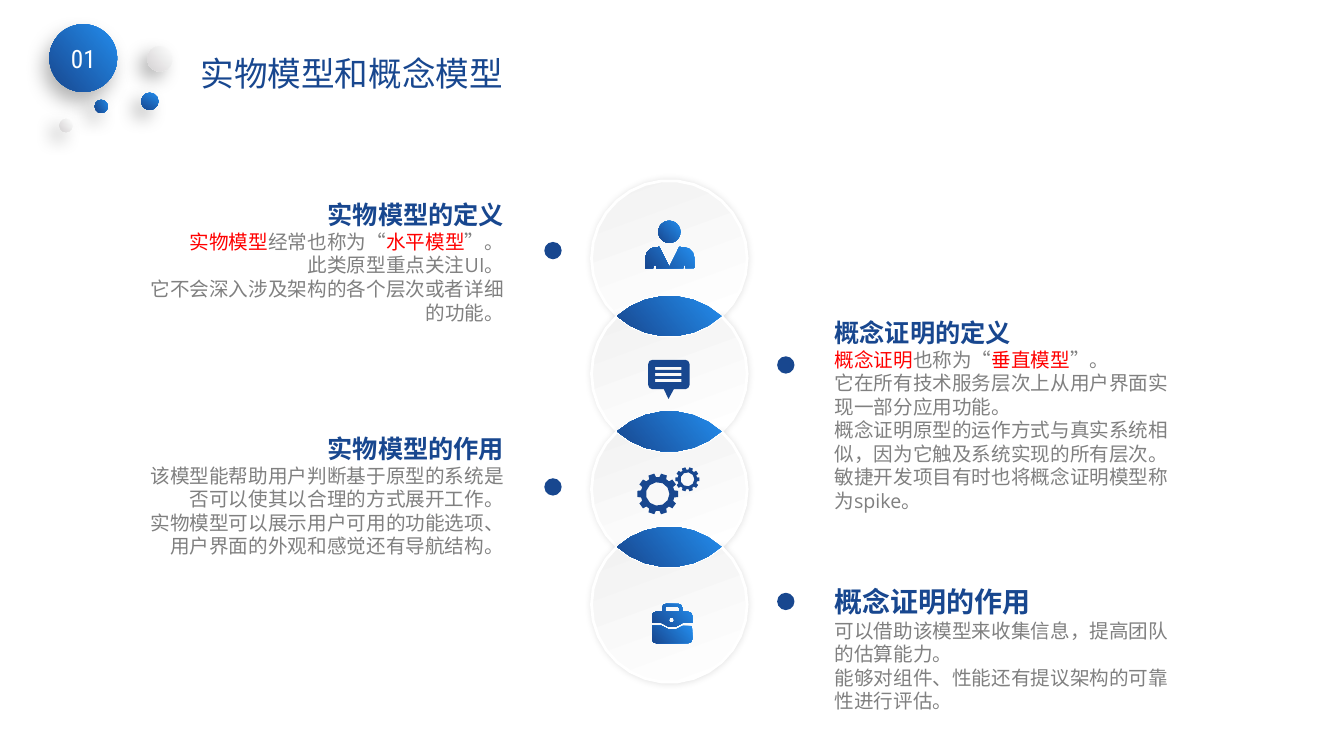
from math import acos, ceil, cos, degrees, radians, sin, sqrt

from lxml import etree
from pptx import Presentation
from pptx import util as u
from pptx.dml import color
from pptx.enum import shapes, text
from pptx.oxml import ns

HUES = {"navy": "18478F", "blue": "238DED", "white": "FFFFFF", "pale": "F2F2F2",
        "silver": "D4D2D3", "gray": "808080", "red": "FF0000", "black": "000000"}
RGB = {name: color.RGBColor.from_string(code) for name, code in HUES.items()}
FILLS = {"navy": ("navy",), "deep": ("blue", "navy", 220), "steep": ("blue", "navy", 240),
         "disc": ("white", "pale", 110), "pearl": ("white", "silver", 220)}


def arc(x, y, r, start, end):
    parts = max(2, ceil(abs(end - start) * sqrt(r) / 100))
    turns = [radians(start + (end - start) * i / parts) for i in range(parts + 1)]
    return [(x + r * cos(t), y + r * sin(t)) for t in turns]


def paint(shape, fill, shade=None, edge=None):
    tones = FILLS[fill]
    if len(tones) == 1:
        shape.fill.solid()
        shape.fill.fore_color.rgb = RGB[tones[0]]
    else:
        shape.fill.gradient()
        shape.fill.gradient_angle = tones[2]
        for stop, tone in zip(shape.fill.gradient_stops, tones):
            stop.color.rgb = RGB[tone]
    if edge:
        shape.line.color.rgb = RGB[edge]
        shape.line.width = u.Pt(2)
    else:
        shape.line.fill.background()
    shape.shadow.inherit = False
    if shade:
        alpha, blur, dist, angle = shade
        glow = etree.SubElement(shape._element.spPr.find(ns.qn("a:effectLst")), ns.qn("a:outerShdw"),
                                blurRad=str(u.Pt(blur)), dist=str(u.Pt(dist)),
                                dir=str(angle * 60000), algn="ctr", rotWithShape="0")
        tint = etree.SubElement(glow, ns.qn("a:srgbClr"), val=HUES["black"])
        etree.SubElement(tint, ns.qn("a:alpha"), val=str(alpha * 1000))


deck = Presentation()
deck.slide_width, deck.slide_height = u.Pt(960), u.Pt(540)
slide = deck.slides.add_slide(deck.slide_layouts[6])
board = slide.shapes

MID, RAD, STEP, COUNT = 478.1, 55.6, 82.4, 4
hubs = [184.6 + STEP * i for i in range(COUNT)]
low = 90 - degrees(acos(STEP / 2 / RAD))
high = 180 - low
discs, lenses = [], []
for i, hub in enumerate(hubs):
    ring = arc(MID, hub, RAD, -low, low)
    if i < COUNT - 1:
        ring += arc(MID, hubs[i + 1], RAD, -low, -high)
        lenses.append(([arc(MID, hub, RAD, low, high)
                        + arc(MID, hubs[i + 1], RAD, 180 + low, 180 + high)], "deep"))
    else:
        ring += arc(MID, hub, RAD, low, high)
    ring += arc(MID, hub, RAD, high, 180 + low)
    if i:
        ring += arc(MID, hubs[i - 1], RAD, high, low)
    else:
        ring += arc(MID, hub, RAD, 180 + low, 180 + high)
    discs.append(([ring], "disc", (11, 5, 0, 0), "white"))

torso = (arc(468.5, 184, 7.5, 180, 270) + [(471, 176.4), (478.1, 190.8), (485.2, 176.4)]
         + arc(488.5, 184, 7.5, 270, 360)
         + [(496, 191.5), (489.6, 191.5), (489.6, 189.4), (488.2, 189.4), (488.2, 191.5),
            (468.7, 191.5), (468.7, 189.4), (466.6, 189.4), (466.6, 191.5), (461, 191.5)])
bubble = [arc(466, 260, 3, 180, 270) + arc(489.5, 260, 3, 270, 360)
          + arc(489.5, 275, 3, 0, 90) + arc(466, 275, 3, 90, 180)]
for y in (262.1, 266.4, 270.7):
    bubble.append([(468, y), (468, y + 2.2), (486.7, y + 2.2), (486.7, y)])
tail = [(473.8, 277.2), (481.7, 277.2), (477.5, 285)]
pouch = ([(465.8, 447.1)] + arc(480.2, 438.85, 11.15, 132, 48) + [(494.6, 447.1)]
         + arc(491.7, 456.5, 2.9, 0, 90) + arc(468.7, 456.5, 2.9, 90, 180))
lid = (arc(468.7, 439.9, 2.9, 180, 270) + [(473, 437)] + arc(475.9, 434.2, 2.9, 180, 270)
       + arc(484.5, 434.2, 2.9, 270, 360) + [(487.4, 437)] + arc(491.7, 439.9, 2.9, 270, 360)
       + [(494.6, 445)] + arc(480.2, 436.7, 11.15, 48, 132) + [(465.8, 445)])
grip = [(475.2, 437), (475.2, 434.2), (475.9, 433.4), (484.5, 433.4), (485.2, 434.2), (485.2, 437)]
icons = [([torso], "deep"), (bubble, "navy"), ([tail], "navy"), ([pouch], "deep"),
         ([lid, grip, arc(479.7, 443, 2.1, 360, 0)], "deep")]
for x, y, tip, root, hole in [(469.8, 352.8, 14.7, 12.1, 8.4), (491, 342.4, 8.7, 7, 5)]:
    teeth = []
    for turn in range(0, 360, 36):
        for r, lean in [(root, -12), (tip, -8.5), (tip, 8.5), (root, 12)]:
            t = radians(turn + lean)
            teeth.append((x + r * cos(t), y + r * sin(t)))
    icons.append(([teeth, arc(x, y, hole, 360, 0)], "navy"))

for loops, *look in discs + lenses + icons:
    pen = None
    for loop in loops:
        spots = [(u.Pt(x), u.Pt(y)) for x, y in loop]
        if pen:
            pen.move_to(*spots[0])
        else:
            pen = board.build_freeform(*spots[0], scale=1.0)
        pen.add_line_segments(spots[1:], close=True)
    paint(pen.convert_to_shape(), *look)

soft = (30, 13, 8, 135)
dots = [(470.2, 157.7, 15.8, "deep"),
        (388.8, 172.8, 12.4, "navy"), (555.1, 254.5, 12.4, "navy"),
        (388.8, 341.6, 12.4, "navy"), (555.1, 423.4, 12.4, "navy"),
        (105.1, 33.1, 18, "pearl", soft), (42.5, 85, 9.4, "pearl", soft),
        (67.7, 71.3, 9.4, "deep", soft), (100.8, 66.2, 12.4, "steep", soft),
        (35.3, 17.3, 48.4, "deep", (30, 14, 8, 120))]
for x, y, size, *look in dots:
    badge = board.add_shape(shapes.MSO_SHAPE.OVAL, u.Pt(x), u.Pt(y), u.Pt(size), u.Pt(size))
    paint(badge, *look)

frame = badge.text_frame
frame.vertical_anchor = text.MSO_ANCHOR.MIDDLE
line = frame.paragraphs[0]
line.alignment = text.PP_ALIGN.CENTER
run = line.add_run()
run.text = "01"
for key, value in {"size": u.Pt(18), "name": "Roboto Condensed"}.items():
    setattr(run.font, key, value)
run.font.color.rgb = RGB["white"]

LEFT, RIGHT = text.PP_ALIGN.LEFT, text.PP_ALIGN.RIGHT
notes = [
    (136.1, 34.6, 251.3, 36, LEFT, 24, False, 1, ["实物模型和概念模型"]),
    (589, 223.2, 263.5, 147.6, LEFT, 18, True, 1, [
        "概念证明的定义", "|概念证明|也称为“|垂直模型|”。",
        "它在所有技术服务层次上从用户界面实现一部分应用功能。",
        "概念证明原型的运作方式与真实系统相似，因为它触及系统实现的所有层次。",
        "敏捷开发项目有时也将概念证明模型称为spike。"]),
    (95, 139, 272.2, 113.8, RIGHT, 18, True, 1, [
        "实物模型的定义", "|实物模型|经常也称为“|水平模型|”。",
        "此类原型重点关注UI。", "它不会深入涉及架构的各个层次或者详细的功能。"]),
    (589, 390.2, 263.5, 123.8, LEFT, 20, True, 2, [
        "概念证明的作用", "可以借助该模型来收集信息，提高团队的估算能力。",
        "能够对组件、性能还有提议架构的可靠性进行评估。"]),
    (95, 306, 272.2, 113.8, RIGHT, 18, True, 1, [
        "实物模型的作用",
        "该模型能帮助用户判断基于原型的系统是否可以使其以合理的方式展开工作。",
        "实物模型可以展示用户可用的功能选项、用户界面的外观和感觉还有导航结构。"])]
for x, y, wide, tall, side, size, bold, gap, rows in notes:
    frame = board.add_textbox(u.Pt(x), u.Pt(y), u.Pt(wide), u.Pt(tall)).text_frame
    frame.word_wrap = True
    frame.auto_size = text.MSO_AUTO_SIZE.SHAPE_TO_FIT_TEXT
    for i, row in enumerate(rows):
        line = frame.add_paragraph() if i else frame.paragraphs[0]
        line.alignment = side
        if not i and gap > 1:
            line.line_spacing = float(gap)
        form = {"name": "Open Sans", "size": u.Pt(14 if i else size), "bold": bold and not i}
        for j, part in enumerate(row.split("|")):
            if part:
                run = line.add_run()
                run.text = part
                for key, value in form.items():
                    setattr(run.font, key, value)
                run.font.color.rgb = RGB["red" if j % 2 else "gray" if i else "navy"]

deck.save("out.pptx")
